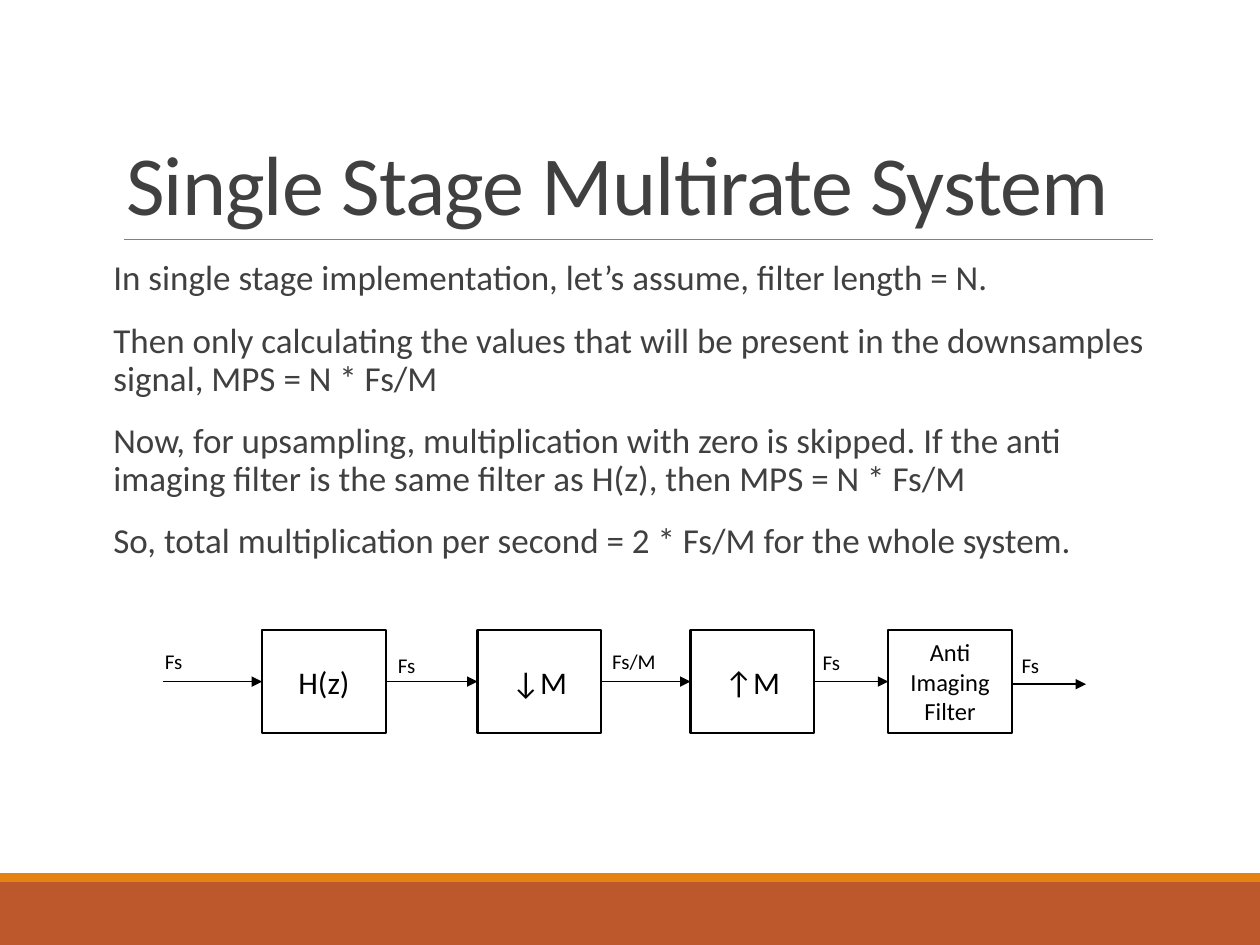
from lxml import etree
from pptx import Presentation
from pptx import util as u
from pptx.dml.color import RGBColor
from pptx.enum import shapes, text
from pptx.oxml import ns

FONT = "Calibri"
INK, GREY, WHITE = "000000", "404040", "FFFFFF"
BODY = [
    "In single stage implementation, let\u2019s assume, filter length = N.",
    "Then only calculating the values that will be present in the downsamples signal, MPS = N * Fs/M",
    "Now, for upsampling, multiplication with zero is skipped. If the anti imaging filter "
    "is the same filter as H(z), then MPS = N * Fs/M",
    "So, total multiplication per second = 2 * Fs/M for the whole system.",
]
BLOCK_TOP, BLOCK_WIDTH, BLOCK_HEIGHT = 360, 70.6, 59
BLOCKS = [("H(z)", 149.8, 18), ("\u2193M", 272.9, 18),
          ("\u2191M", 394.6, 18), ("Anti Imaging Filter", 507.6, 14)]
LABELS = [("Fs", 87.1, 367.2, 30.2), ("Fs", 220.3, 369.4, 30.2), ("Fs/M", 342.7, 367.2, 43.2),
          ("Fs", 463, 367.9, 30.2), ("Fs", 576.7, 369.4, 30.2)]
FLOW_START, FLOW_END = 92.9, 620.6


def color(value):
    """Turn a hex string into a colour."""
    return RGBColor.from_string(value)


def points(*lengths):
    """Turn numbers into point lengths."""
    return [u.Pt(length) for length in lengths]


def place(shape, *bounds):
    """Move and size a shape."""
    shape.left, shape.top, shape.width, shape.height = points(*bounds)


def style(para, size, ink, align=text.PP_ALIGN.LEFT):
    """Set the font and alignment of a paragraph."""
    para.alignment = align
    para.font.name = FONT
    para.font.size = u.Pt(size)
    para.font.color.rgb = color(ink)


def add_box(page, bounds, fill, line=None):
    """Add a flat rectangle."""
    box = page.shapes.add_shape(shapes.MSO_SHAPE.RECTANGLE, *points(*bounds))
    box.shadow.inherit = False
    box.fill.solid()
    box.fill.fore_color.rgb = color(fill)
    if line:
        box.line.color.rgb = color(line)
        box.line.width = u.Pt(1.25)
    else:
        box.line.fill.background()
    return box


def add_block(page, label, left, size):
    """Add one labelled stage of the system."""
    box = add_box(page, (left, BLOCK_TOP, BLOCK_WIDTH, BLOCK_HEIGHT), WHITE, INK)
    frame = box.text_frame
    frame.word_wrap = True
    frame.vertical_anchor = text.MSO_ANCHOR.MIDDLE
    frame.text = label
    style(frame.paragraphs[0], size, INK, text.PP_ALIGN.CENTER)


def add_line(page, start, end, top, ink, width, arrow=False):
    """Add a horizontal line, with an arrowhead if asked."""
    line = page.shapes.add_connector(shapes.MSO_CONNECTOR.STRAIGHT, *points(start, top, end, top))
    line.line.color.rgb = color(ink)
    line.line.width = u.Pt(width)
    if arrow:
        etree.SubElement(line.line._get_or_add_ln(), ns.qn("a:tailEnd"), type="triangle")
    etree.SubElement(line._element.spPr, ns.qn("a:effectLst"))


def add_label(page, label, left, top, width):
    """Add a signal rate label."""
    frame = page.shapes.add_textbox(*points(left, top, width, 21.6)).text_frame
    frame.word_wrap = True
    frame.text = label
    style(frame.paragraphs[0], 12, INK)


def fill_title(title):
    """Write the title."""
    place(title, 64.8, 22.3, 594, 114.5)
    frame = title.text_frame
    frame.text = "Single Stage Multirate System"
    frame.auto_size = text.MSO_AUTO_SIZE.NONE
    frame.vertical_anchor = text.MSO_ANCHOR.BOTTOM
    para = frame.paragraphs[0]
    para.line_spacing = 0.85
    style(para, 48, GREY)
    para.runs[0].font._element.set("spc", "-50")


def fill_body(body):
    """Write the body as unbulleted paragraphs."""
    place(body, 64.8, 145.4, 594, 316.8)
    frame = body.text_frame
    frame.text = "\n".join(BODY)
    frame.auto_size = text.MSO_AUTO_SIZE.NONE
    frame.margin_left = frame.margin_right = 0
    for para in frame.paragraphs:
        style(para, 20, GREY)
        para.line_spacing = 0.9
        para.space_before, para.space_after = points(12, 2)
        props = para._p.get_or_add_pPr()
        props.set("marL", "0")
        props.set("indent", "0")
        props.insert_element_before(etree.Element(ns.qn("a:buNone")), "a:tabLst", "a:defRPr", "a:extLst")


def add_flow(page):
    """Add the chain of stages, arrows and rates."""
    for block in BLOCKS:
        add_block(page, *block)
    lefts = [left for _, left, _ in BLOCKS]
    starts = [FLOW_START] + [left + BLOCK_WIDTH for left in lefts]
    tops = [389.5] * len(BLOCKS) + [391]
    for start, end, top in zip(starts, lefts + [FLOW_END], tops):
        add_line(page, start, end, top, INK, 1, arrow=True)
    for label in LABELS:
        add_label(page, *label)


def main():
    """Build and save the slide."""
    deck = Presentation()
    deck.slide_width, deck.slide_height = points(720, 540)
    page = deck.slides.add_slide(deck.slide_layouts[1])
    add_box(page, (0, 504, 720, 36), "BD582C")
    add_box(page, (0, 499, 720, 5), "E48312")
    add_line(page, 70.6, 658.8, 136.8, "808080", 0.5)
    fill_title(page.shapes.title)
    fill_body(page.placeholders[1])
    add_flow(page)
    deck.save("out.pptx")


main()
